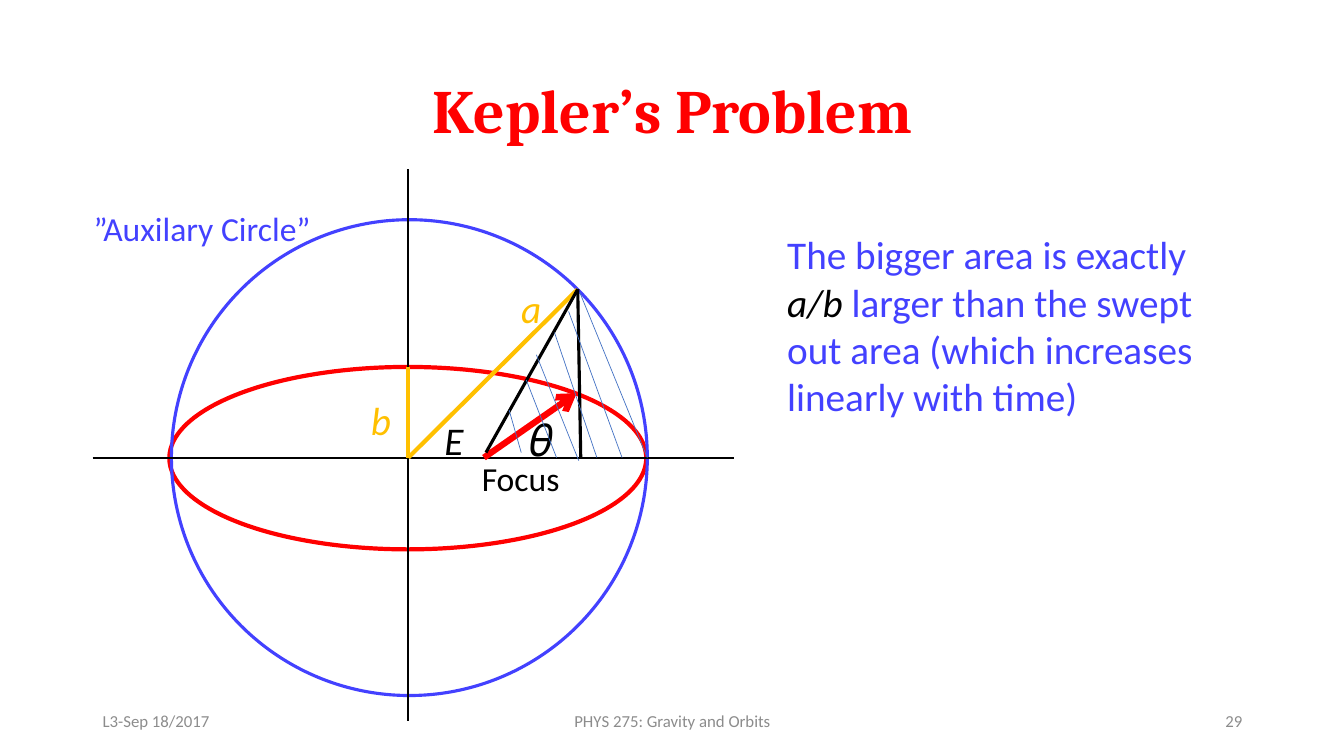
from lxml import etree
from pptx import Presentation
from pptx import util as u
from pptx.dml.color import RGBColor
from pptx.enum import shapes, text
from pptx.oxml.ns import qn

RED, BLUE, GOLD, BLACK = "FF0000", "4341FF", "FFC000", "000000"
GREY, HATCH = "8C8C8C", "4472C4"
LEFT, CENTER, RIGHT = text.PP_ALIGN.LEFT, text.PP_ALIGN.CENTER, text.PP_ALIGN.RIGHT
TOP, MIDDLE = text.MSO_ANCHOR.TOP, text.MSO_ANCHOR.MIDDLE


def color(value):
    return RGBColor.from_string(value)


class Drawing:
    """Holds the body font and the page being drawn."""

    def __init__(self, page, font="Calibri"):
        self.page = page
        self.font = font

    def span(self, para, words, size, ink, italic=False, bold=False, font=None):
        span = para.add_run()
        span.text = words
        span.font.name = font or self.font
        span.font.size = u.Pt(size)
        span.font.bold = bold
        span.font.italic = italic
        span.font.color.rgb = color(ink)

    def place(self, shape, left, top, width, height):
        shape.left, shape.top = u.Inches(left), u.Inches(top)
        shape.width, shape.height = u.Inches(width), u.Inches(height)

    def title(self, words, area):
        box = self.page.shapes.title
        self.place(box, *area)
        box.text_frame.vertical_anchor = MIDDLE
        para = box.text_frame.paragraphs[0]
        para.alignment = CENTER
        para.line_spacing = 0.9
        self.span(para, words, 44, RED, bold=True, font="Cambria")

    def label(self, area, spans, size, align=LEFT, anchor=TOP, wrap=True):
        box = self.page.shapes.add_textbox(*map(u.Inches, area))
        frame = box.text_frame
        frame.word_wrap = wrap
        frame.vertical_anchor = anchor
        para = frame.paragraphs[0]
        para.alignment = align
        for words, ink, italic in spans:
            self.span(para, words, size, ink, italic)

    def ellipse(self, area, ink, weight):
        oval = self.page.shapes.add_shape(
            shapes.MSO_SHAPE.OVAL, *map(u.Inches, area))
        oval.shadow.inherit = False
        oval.fill.background()
        oval.line.color.rgb = color(ink)
        oval.line.width = u.Pt(weight)

    def line(self, start, end, ink, weight, arrow=False):
        line = self.page.shapes.add_connector(
            shapes.MSO_CONNECTOR.STRAIGHT, *map(u.Inches, start + end))
        line.line.color.rgb = color(ink)
        line.line.width = u.Pt(weight)
        if arrow:
            etree.SubElement(line.line._get_or_add_ln(), qn("a:tailEnd"), type="arrow")
        etree.SubElement(line._element.spPr, qn("a:effectLst"))


def main():
    deck = Presentation()
    deck.slide_width, deck.slide_height = u.Inches(13.33), u.Inches(7.5)
    page = deck.slides.add_slide(deck.slide_layouts[5])
    drawing = Drawing(page)

    # Title and footer
    drawing.title("Kepler’s Problem", (0.92, 0.4, 11.5, 1.45))
    for left, width, words, align in (
            (0.92, 3, "L3-Sep 18/2017", LEFT),
            (4.42, 4.5, "PHYS 275: Gravity and Orbits", CENTER),
            (9.42, 3, "29", RIGHT)):
        drawing.label((left, 6.95, width, 0.4), [(words, GREY, False)], 12, align, MIDDLE)

    # Orbit, auxiliary circle and axes
    axis_x, axis_y = 4.05, 4.54
    center, apex = (axis_x, axis_y), (5.73, 2.87)
    drawing.ellipse((1.68, 3.64, 4.73, 1.81), RED, 3)
    drawing.ellipse((1.7, 2.18, 4.72, 4.72), BLUE, 2.25)
    drawing.line((0.92, axis_y), (7.28, axis_y), BLACK, 1.5)
    drawing.line((axis_x, 1.68), (axis_x, 7.15), BLACK, 1.5)

    # Semi-axes, radius vector and vertical drop
    drawing.line((axis_x, 3.64), center, GOLD, 3)
    drawing.line(apex, center, GOLD, 3)
    drawing.line((4.8, axis_y), (5.72, 3.9), RED, 4.5, arrow=True)
    drawing.line(apex, (5.76, axis_y), BLACK, 2.25)

    # Diagram labels
    for area, words, size, ink, italic, wrap in (
            ((3.58, 3.88, 0.4, 0.57), "b", 28, GOLD, True, False),
            ((5.07, 2.77, 0.4, 0.57), "a", 28, GOLD, True, False),
            ((5.16, 4.04, 0.63, 0.64), "𝜃", 32, BLACK, False, True),
            ((4.31, 4.08, 0.39, 0.57), "E", 28, BLACK, True, False),
            ((4.68, 4.49, 0.98, 0.5), "Focus", 24, BLACK, False, False),
            ((0.83, 2.01, 2.37, 0.5), "”Auxilary Circle”", 24, BLUE, False, False)):
        drawing.label(area, [(words, ink, italic)], size, wrap=wrap)

    # Swept area with hatching
    drawing.line(apex, (4.82, 4.49), BLACK, 2.25)
    for start, end in (
            ((5.5, 3.3), (5.92, axis_y)),
            ((5.64, 3.09), (6.17, axis_y)),
            ((5.75, 2.9), (6.42, axis_y)),
            ((5.32, 3.52), (5.74, 4.57)),
            ((5.22, 3.77), (5.52, axis_y)),
            ((5.05, 4.07), (5.17, 4.49))):
        drawing.line(start, end, HATCH, 0.5)

    # Explanation
    drawing.label((7.71, 2.24, 4.4, 1.99), [
        ("The bigger area is exactly ", BLUE, False),
        ("a/b ", BLACK, True),
        ("larger than the swept out area (which increases linearly with time)",
         BLUE, False)], 28)

    deck.save("out.pptx")


if __name__ == "__main__":
    main()
